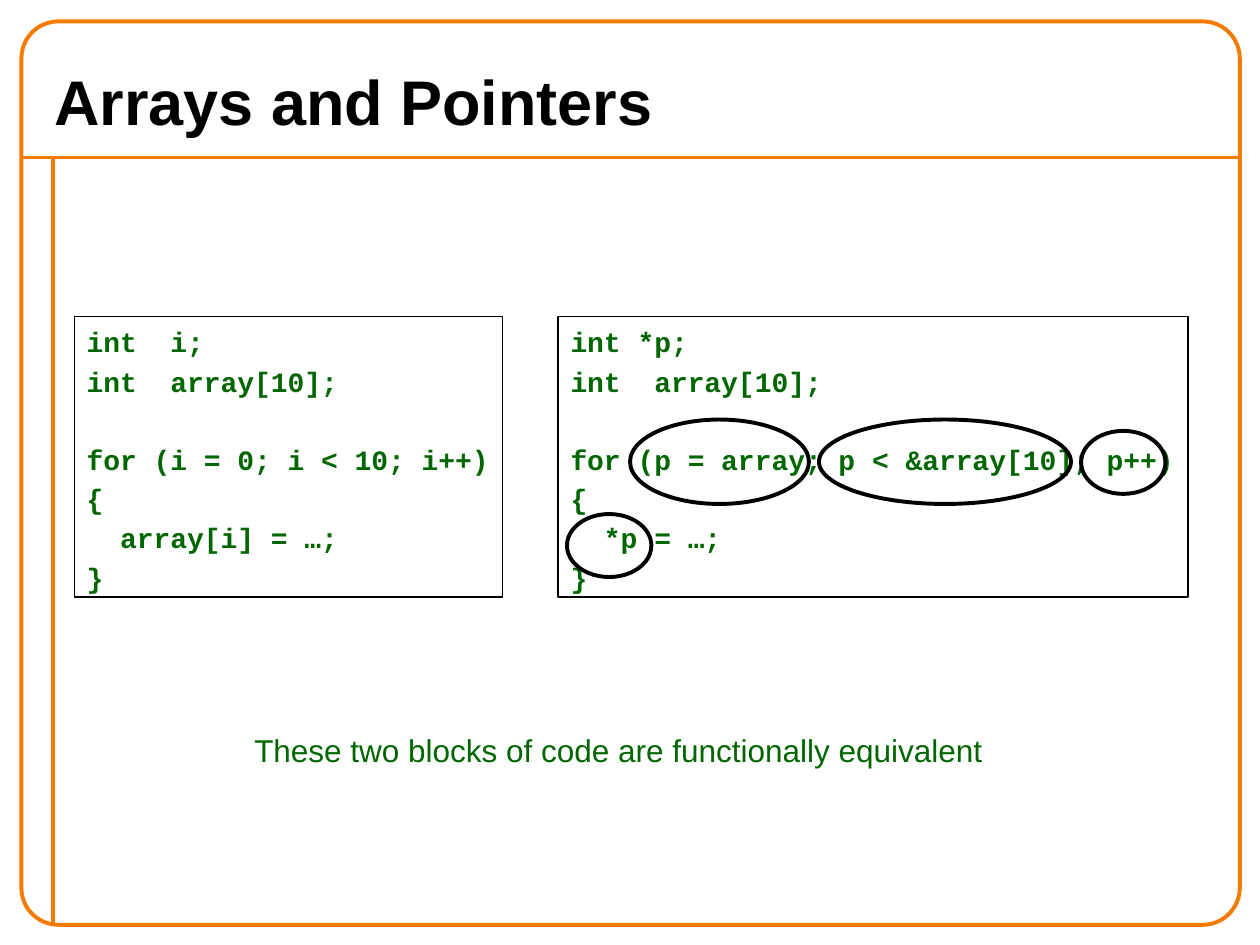
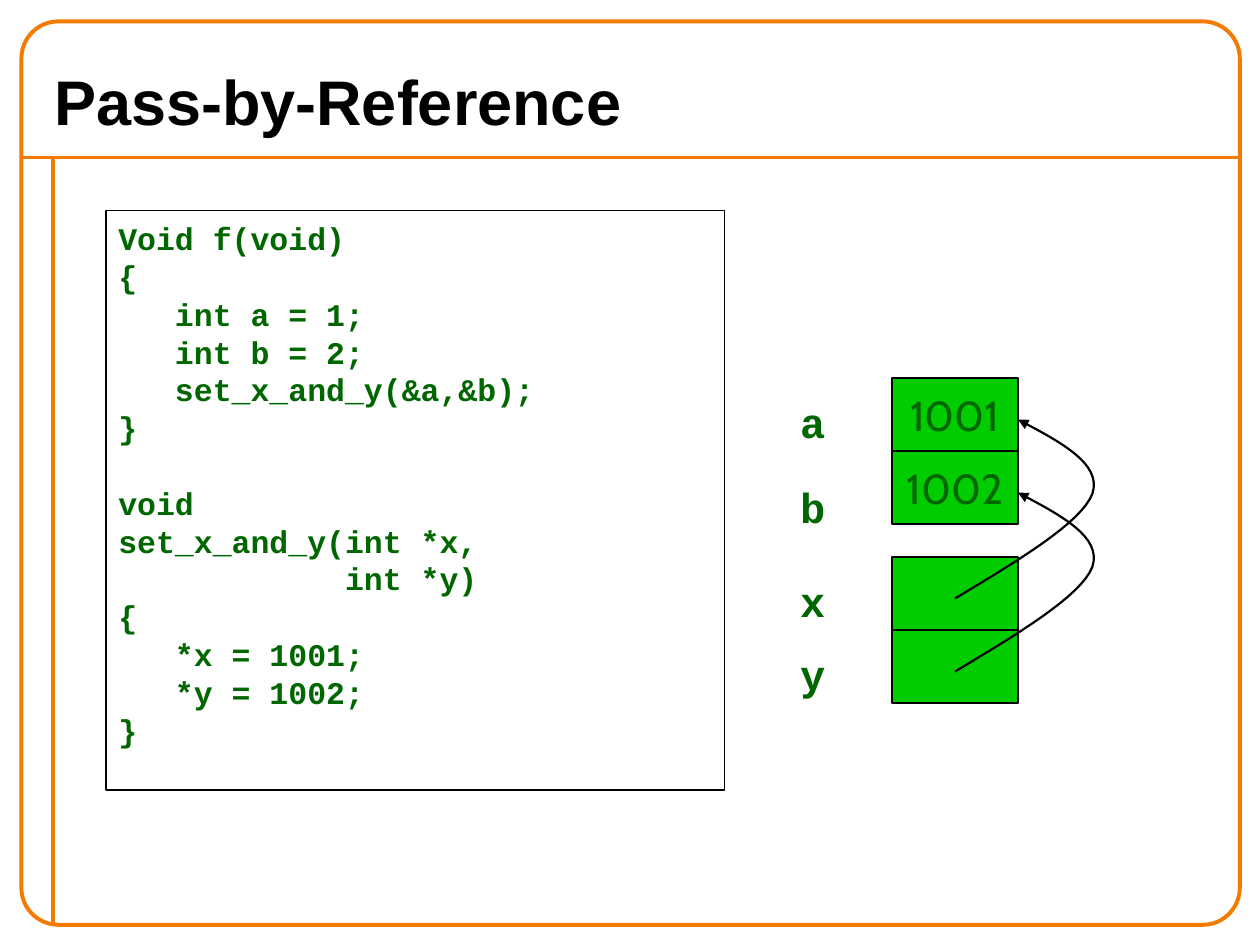
from dataclasses import dataclass

from lxml import etree
from pptx import Presentation
from pptx.dml.color import RGBColor
from pptx.enum.shapes import MSO_CONNECTOR, MSO_SHAPE
from pptx.enum.text import MSO_ANCHOR, PP_ALIGN
from pptx.oxml.ns import qn
from pptx.util import Inches, Pt

LEFT, CENTER = PP_ALIGN.LEFT, PP_ALIGN.CENTER
TOP, MIDDLE = MSO_ANCHOR.TOP, MSO_ANCHOR.MIDDLE
RECT, ELLIPSE = MSO_SHAPE.RECTANGLE, MSO_SHAPE.OVAL
ROUNDED = MSO_SHAPE.ROUNDED_RECTANGLE
STRAIGHT = MSO_CONNECTOR.STRAIGHT


@dataclass(frozen=True)
class Theme:
    orange: RGBColor = RGBColor(0xF4, 0x7A, 0x00)
    black: RGBColor = RGBColor(0, 0, 0)
    ink: RGBColor = RGBColor(0x00, 0x66, 0x00)
    cell: RGBColor = RGBColor(0x00, 0xCC, 0x00)
    sans: str = "Arial"
    mono: str = "Courier New"
    digits: str = "Cabin"
    title: int = 36
    label: int = 24
    body: int = 18
    small_code: int = 16
    thick: float = 2.25
    curve: float = 1.25
    thin: float = 0.75
    code_pitch: float = 1.2


THEME = Theme()

ARRAYS_TITLE = "Arrays and Pointers"
INDEX_LOOP = """int  i;
int  array[10];

for (i = 0; i < 10; i++)
{
  array[i] = …;
}"""
POINTER_LOOP = """int *p;
int  array[10];

for (p = array; p < &array[10]; p++)
{
  *p = …;
}"""
LOOP_BOXES = [(INDEX_LOOP, (0.59, 2.51, 3.4, 2.23)),
              (POINTER_LOOP, (4.43, 2.51, 5, 2.23))]
POINTER_RINGS = [(5, 3.33, 1.42, 0.67), (6.5, 3.33, 2, 0.67),
                 (8.58, 3.42, 0.67, 0.5), (4.5, 4.08, 0.67, 0.5)]
EQUIVALENCE = "These two blocks of code are functionally equivalent"

REFERENCE_TITLE = "Pass-by-Reference"
REFERENCE_CODE = """Void f(void)
{
   int a = 1;
   int b = 2;
   set_x_and_y(&a,&b);
}

void
set_x_and_y(int *x,
            int *y)
{
   *x = 1001;
   *y = 1002;
}"""
REFERENCE_BOX = (0.84, 1.67, 4.91, 4.6)
# Variable, label top, value
CALLER_CELLS = [("a", 3.08, "1001"), ("b", 3.75, "1002")]
POINTER_CELLS = [("x", 4.5, ""), ("y", 5.08, "")]
CALLER_TOP, POINTER_TOP = 3, 4.42
CELL_LEFT, CELL_WIDTH, CELL_HEIGHT = 7.08, 1, 0.58
LABEL_LEFT, LABEL_WIDTH, LABEL_HEIGHT = 6.25, 0.4, 0.5
# Two joined cubic curves from pointer x to variable a
POINTER_CURVE = [
    [(7.58, 4.75), (8.08, 4.45), (8.58, 4.15), (8.67, 3.92)],
    [(8.67, 3.92), (8.75, 3.68), (8.42, 3.51), (8.08, 3.33)],
]
CURVE_STEPS = 16


def inches(values):
    return [Inches(value) for value in values]


def drop_shadow(shape_properties):
    etree.SubElement(shape_properties, qn("a:effectLst"))


def outline(shape, color, width, fill=None):
    shape.shadow.inherit = False
    if fill is None:
        shape.fill.background()
    else:
        shape.fill.solid()
        shape.fill.fore_color.rgb = fill
    shape.line.color.rgb = color
    shape.line.width = Pt(width)
    return shape


def add_outlined(slide, preset, box, color, width, fill=None):
    shape = slide.shapes.add_shape(preset, *inches(box))
    return outline(shape, color, width, fill)


def write(shape, text, size, font, bold=False, align=LEFT, anchor=TOP,
          color=THEME.ink, before=0):
    """Write one paragraph per line; an empty line widens the gap that follows."""
    frame = shape.text_frame
    frame.word_wrap = True
    frame.vertical_anchor = anchor
    frame.margin_left = Inches(0 if align == CENTER else 0.1)
    frame.margin_right = 0
    frame.margin_top = Inches(0.07 if font == THEME.mono else 0.05)
    frame.margin_bottom = Inches(0.05)
    pitch = size * THEME.code_pitch
    paragraph, gap = frame.paragraphs[0], 0
    for index, line in enumerate(text.split("\n")):
        if not line:
            gap += pitch + before
            continue
        if index:
            paragraph = frame.add_paragraph()
            paragraph.space_before = Pt(before + gap)
        else:
            paragraph.space_before = Pt(0)
        gap = 0
        paragraph.text = line
        paragraph.alignment = align
        if font == THEME.mono:
            paragraph.line_spacing = Pt(pitch)
        paragraph.font.size = Pt(size)
        paragraph.font.name = font
        paragraph.font.bold = bold
        paragraph.font.color.rgb = color


def add_code(slide, code, box, size, before=0):
    panel = add_outlined(slide, RECT, box, THEME.black, THEME.thin)
    write(panel, code, size, THEME.mono, bold=True, before=before)


def add_rule(slide, start, end):
    rule = slide.shapes.add_connector(STRAIGHT, *inches(start + end))
    rule.line.color.rgb = THEME.orange
    rule.line.width = Pt(THEME.thick)
    drop_shadow(rule._element.spPr)


def add_framed_slide(deck, title):
    slide = deck.slides.add_slide(deck.slide_layouts[5])
    add_rule(slide, (0.17, 1.25), (9.83, 1.25))
    add_rule(slide, (0.42, 1.25), (0.42, 7.33))
    border = add_outlined(slide, ROUNDED, (0.17, 0.17, 9.67, 7.17),
                          THEME.orange, THEME.thick)
    border.adjustments[0] = 0.041
    heading = slide.shapes.title
    heading.left, heading.top, heading.width, heading.height = inches(
        (0.33, 0.42, 9.33, 0.75))
    write(heading, title, THEME.title, THEME.sans, bold=True, anchor=MIDDLE,
          color=THEME.black)
    return slide


def cubic_point(controls, t):
    weights = ((1 - t) ** 3, 3 * t * (1 - t) ** 2, 3 * t ** 2 * (1 - t), t ** 3)
    return tuple(sum(w * c for w, c in zip(weights, axis))
                 for axis in zip(*controls))


def add_pointer_arrow(slide, drop):
    """Draw the pointer curve, moved down by drop, with an arrowhead at its end."""
    points = [POINTER_CURVE[0][0]]
    for controls in POINTER_CURVE:
        points += [cubic_point(controls, step / CURVE_STEPS)
                   for step in range(1, CURVE_STEPS + 1)]
    start, *rest = [inches((x, y + drop)) for x, y in points]
    builder = slide.shapes.build_freeform(*start)
    builder.add_line_segments(rest, close=False)
    arrow = outline(builder.convert_to_shape(), THEME.black, THEME.curve)
    etree.SubElement(arrow.line._get_or_add_ln(), qn("a:tailEnd"), type="triangle")


def add_cells(slide, cells, top):
    for row, (variable, label_top, value) in enumerate(cells):
        label = slide.shapes.add_textbox(*inches(
            (LABEL_LEFT, label_top, LABEL_WIDTH, LABEL_HEIGHT)))
        write(label, variable, THEME.label, THEME.mono, bold=True, align=CENTER)
        box = (CELL_LEFT, top + row * CELL_HEIGHT, CELL_WIDTH, CELL_HEIGHT)
        cell = add_outlined(slide, RECT, box, THEME.black, THEME.thin, THEME.cell)
        if value:
            write(cell, value, THEME.label, THEME.digits, align=CENTER,
                  anchor=MIDDLE)


def build_arrays_slide(deck):
    slide = add_framed_slide(deck, ARRAYS_TITLE)
    for code, box in LOOP_BOXES:
        add_code(slide, code, box, THEME.small_code, before=3.2)
    for ring in POINTER_RINGS:
        add_outlined(slide, ELLIPSE, ring, THEME.black, THEME.thick)
    caption = slide.shapes.add_textbox(*inches((1.92, 5.75, 5.97, 0.4)))
    write(caption, EQUIVALENCE, THEME.body, THEME.sans)


def build_reference_slide(deck):
    slide = add_framed_slide(deck, REFERENCE_TITLE)
    add_code(slide, REFERENCE_CODE, REFERENCE_BOX, THEME.body)
    add_cells(slide, POINTER_CELLS, POINTER_TOP)
    for row in range(len(POINTER_CELLS)):
        add_pointer_arrow(slide, row * CELL_HEIGHT)
    add_cells(slide, CALLER_CELLS, CALLER_TOP)


def main():
    deck = Presentation()
    deck.slide_width, deck.slide_height = inches((10, 7.5))
    build_arrays_slide(deck)
    build_reference_slide(deck)
    deck.save("out.pptx")


if __name__ == "__main__":
    main()
